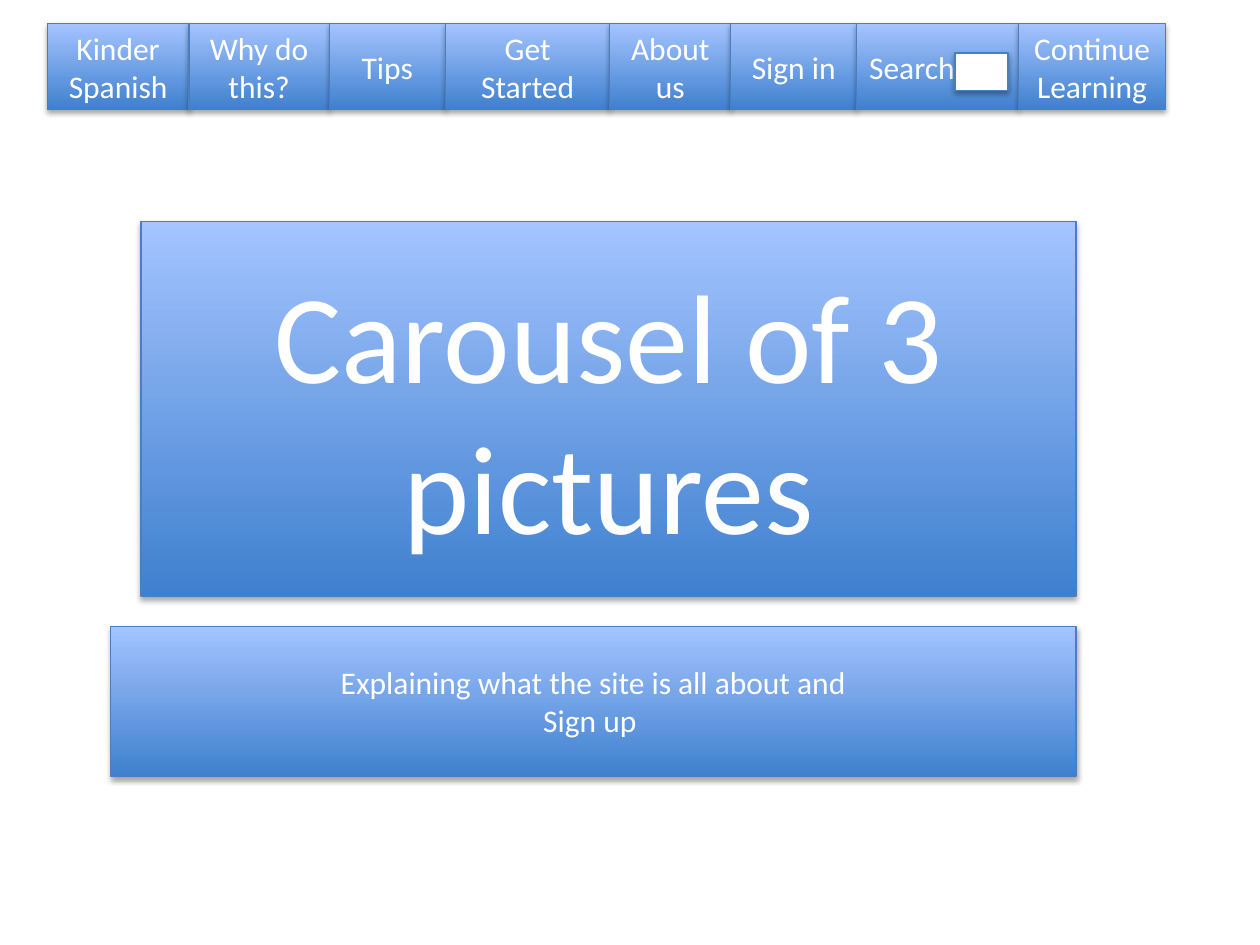
import itertools
from dataclasses import dataclass

import pptx
import pptx.util
import pptx.dml.color
import pptx.enum.shapes
import pptx.enum.text
import pptx.oxml
import pptx.oxml.ns


@dataclass(frozen=True)
class Theme:
    font: str = "Calibri"
    body: int = 18
    display: int = 72
    bottom: str = "3F80CE"
    top: str = "A4C4FF"
    outline: str = "4B7EBC"
    white: str = "FFFFFF"
    outline_width: float = 0.75


SHADOW = (
    f'<a:outerShdw {pptx.oxml.ns.nsdecls("a")} blurRad="40000" dist="23000" '
    'dir="5400000" rotWithShape="0"><a:srgbClr val="000000">'
    '<a:alpha val="35000"/></a:srgbClr></a:outerShdw>'
)
CENTER = pptx.enum.text.PP_ALIGN.CENTER
LEFT = pptx.enum.text.PP_ALIGN.LEFT


def color(value):
    return pptx.dml.color.RGBColor.from_string(value)


class Wireframe:
    def __init__(self, slide, theme, width, height):
        self.slide = slide
        self.theme = theme
        self.width = width
        self.height = height

    def box(self, shapes, left, top, width, height):
        box = shapes.add_shape(
            pptx.enum.shapes.MSO_SHAPE.RECTANGLE,
            round(left * self.width / 100),
            round(top * self.height / 100),
            round(width * self.width / 100),
            round(height * self.height / 100),
        )
        box.line.color.rgb = color(self.theme.outline)
        box.line.width = pptx.util.Pt(self.theme.outline_width)
        box.shadow.inherit = False
        effects = box._element.spPr.find(pptx.oxml.ns.qn("a:effectLst"))
        effects.append(pptx.oxml.parse_xml(SHADOW))
        return box

    def panel(self, shapes, place, lines, size, align=CENTER):
        panel = self.box(shapes, *place)
        panel.fill.gradient()
        panel.fill.gradient_angle = 90
        stops = panel.fill.gradient_stops
        for stop, position, shade in zip(stops, (0, 1), (self.theme.bottom, self.theme.top)):
            stop.position = position
            stop.color.rgb = color(shade)
        frame = panel.text_frame
        frame.word_wrap = True
        frame.vertical_anchor = pptx.enum.text.MSO_ANCHOR.MIDDLE
        for index, line in enumerate(lines):
            paragraph = frame.add_paragraph() if index else frame.paragraphs[0]
            paragraph.alignment = align
            run = paragraph.add_run()
            run.text = line
            run.font.name = self.theme.font
            run.font.size = pptx.util.Pt(size)
            run.font.color.rgb = color(self.theme.white)

    def field(self, shapes, place):
        field = self.box(shapes, *place)
        field.fill.solid()
        field.fill.fore_color.rgb = color(self.theme.white)

    def navigation(self, labels, edges, top, height, search_field):
        bar = self.slide.shapes.add_group_shape().shapes
        for label, (left, right) in zip(labels, itertools.pairwise(edges)):
            searching = label.startswith("Search")
            place = (left, top, right - left, height)
            self.panel(bar, place, [label], self.theme.body, LEFT if searching else CENTER)
            if searching:
                self.field(bar, search_field)


deck = pptx.Presentation()
deck.slide_width = pptx.util.Inches(10)
deck.slide_height = pptx.util.Inches(7.5)
theme = Theme()
page = Wireframe(
    deck.slides.add_slide(deck.slide_layouts[6]), theme, deck.slide_width, deck.slide_height
)

page.navigation(
    ["Kinder Spanish", "Why do this?", "Tips", "Get Started", "About us", "Sign in", "Search ", "Continue Learning"],
    [3.75, 15, 26.13, 35.35, 48.4, 58, 68, 80.85, 92.5],
    top=2.5,
    height=9.1,
    search_field=(75.8, 5.6, 4.2, 4),
)
page.panel(
    page.slide.shapes, (11.2, 23.47, 74.2, 39.6), ["Carousel of 3 pictures"], theme.display
)
page.panel(
    page.slide.shapes,
    (8.8, 66.27, 76.6, 15.87),
    ["Explaining what the site is all about and", "Sign up "],
    theme.body,
)

deck.save("out.pptx")
